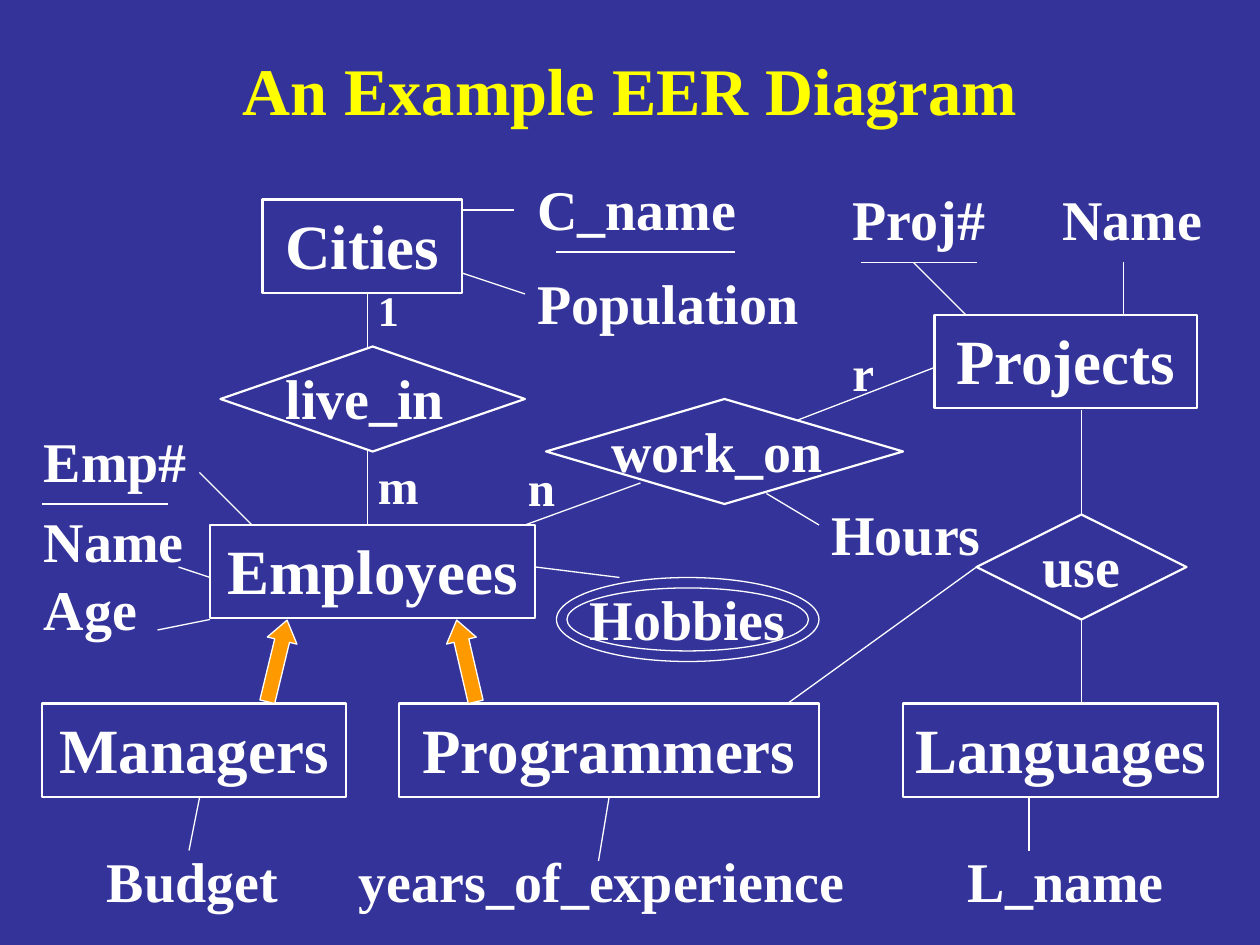
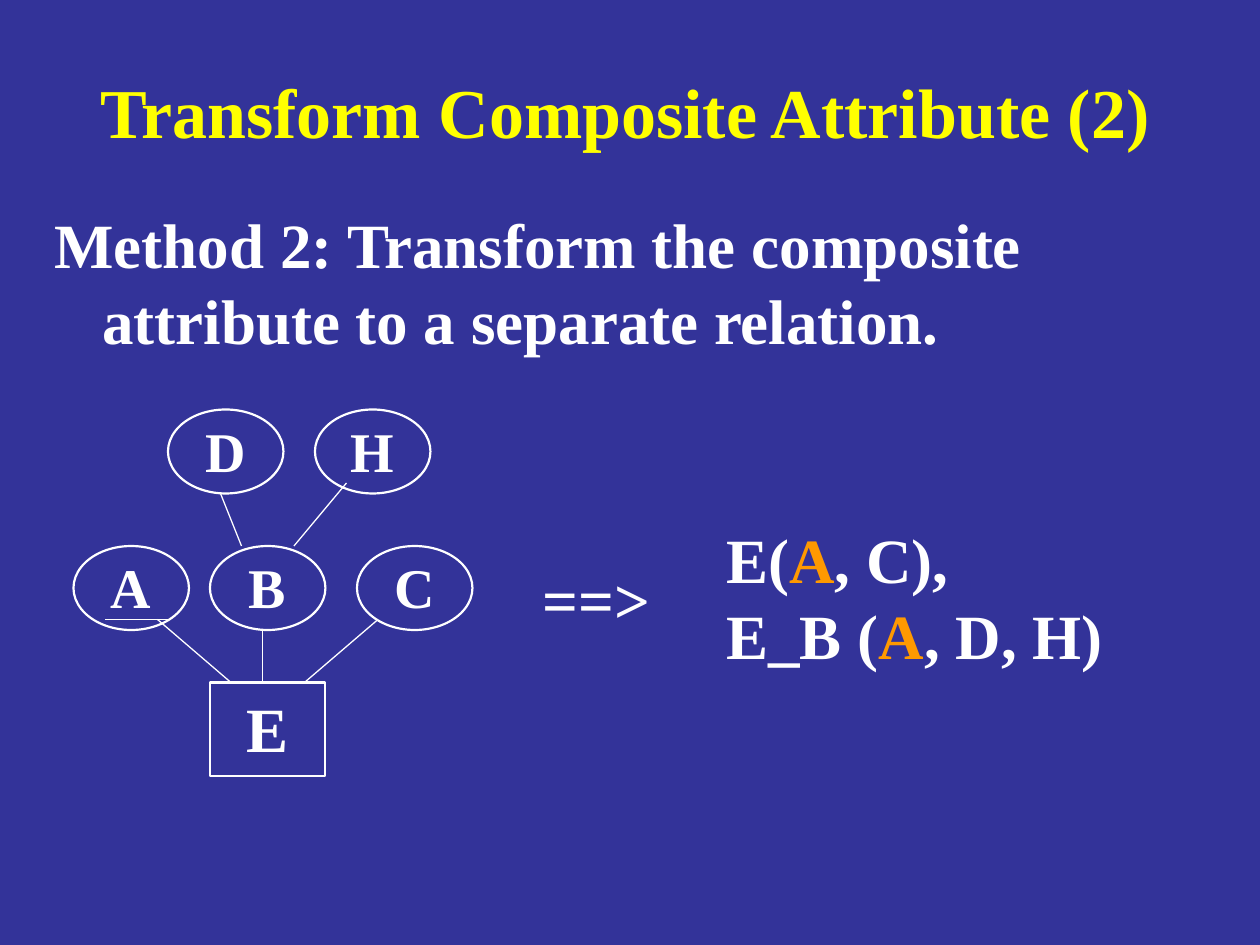
from dataclasses import dataclass

from lxml import etree
from pptx import Presentation
from pptx.dml.color import RGBColor
from pptx.enum.shapes import MSO_CONNECTOR, MSO_SHAPE
from pptx.enum.text import MSO_ANCHOR, PP_ALIGN
from pptx.oxml.ns import qn
from pptx.util import Inches, Pt

STRAIGHT = MSO_CONNECTOR.STRAIGHT
RECTANGLE, DIAMOND = MSO_SHAPE.RECTANGLE, MSO_SHAPE.DIAMOND
OVAL, ARROW = MSO_SHAPE.OVAL, MSO_SHAPE.RIGHT_ARROW
LEFT, CENTER = PP_ALIGN.LEFT, PP_ALIGN.CENTER
TOP, MIDDLE = MSO_ANCHOR.TOP, MSO_ANCHOR.MIDDLE


@dataclass(frozen=True)
class Theme:
    font: str = "Times New Roman"
    ground: RGBColor = RGBColor(0x33, 0x33, 0x99)
    title: RGBColor = RGBColor(0xFF, 0xFF, 0x00)
    ink: RGBColor = RGBColor(0xFF, 0xFF, 0xFF)
    accent: RGBColor = RGBColor(0xFF, 0x99, 0x00)
    entity_size: int = 36
    attribute_size: int = 32
    role_size: int = 28
    outline: float = 1.25
    hairline: float = 0.75


THEME = Theme()

# The slide is a grid of 120 columns by 90 rows
COLUMNS, ROWS = 120, 90
WIDTH, HEIGHT = Inches(10), Inches(7.5)
ENTITY_ROWS, RELATION_ROWS = 8.9, 10
OVAL_COLUMNS, OVAL_ROWS = 11, 8


def grid(column, row):
    return round(WIDTH * column / COLUMNS), round(HEIGHT * row / ROWS)


def new_slide(prs):
    slide = prs.slides.add_slide(prs.slide_layouts[6])
    slide.background.fill.solid()
    slide.background.fill.fore_color.rgb = THEME.ground
    return slide


# Text
def add_run(paragraph, text, size, color=THEME.ink):
    run = paragraph.add_run()
    run.text = text
    run.font.name = THEME.font
    run.font.size = Pt(size)
    run.font.bold = True
    run.font.color.rgb = color


def text_box(slide, column, row, columns, rows, lines, size,
             color=THEME.ink, align=LEFT, anchor=TOP):
    """Each line is a list of (text, color) runs or a plain string."""
    box = slide.shapes.add_textbox(*grid(column, row), *grid(columns, rows))
    frame = box.text_frame
    frame.word_wrap = True
    frame.vertical_anchor = anchor
    for index, line in enumerate(lines):
        paragraph = frame.add_paragraph() if index else frame.paragraphs[0]
        paragraph.alignment = align
        runs = [(line, color)] if isinstance(line, str) else line
        for text, run_color in runs:
            add_run(paragraph, text, size, run_color)
    return frame.paragraphs


def title(slide, text, column, row, columns, size):
    text_box(slide, column, row, columns, 11, [text], size,
             THEME.title, CENTER, MIDDLE)


def attribute(slide, text, column, row, columns, size=THEME.attribute_size):
    text_box(slide, column, row, columns, 7.7, [text], size)


# Diagram parts
def outlined(slide, kind, column, row, columns, rows, weight=THEME.outline):
    shape = slide.shapes.add_shape(kind, *grid(column, row),
                                   *grid(columns, rows))
    shape.shadow.inherit = False
    shape.fill.background()
    shape.line.color.rgb = THEME.ink
    shape.line.width = Pt(weight)
    return shape


def caption(shape, text, size, right=0):
    frame = shape.text_frame
    frame.word_wrap = False
    frame.vertical_anchor = MIDDLE
    frame.margin_left = frame.margin_top = 0
    frame.margin_right, frame.margin_bottom = Inches(right), Inches(0.03)
    frame.paragraphs[0].alignment = CENTER
    add_run(frame.paragraphs[0], text, size)


def entity(slide, text, column, row, columns):
    box = outlined(slide, RECTANGLE, column, row, columns, ENTITY_ROWS)
    caption(box, text, THEME.entity_size)


def relationship(slide, text, column, row, columns, right=0.0):
    diamond = outlined(slide, DIAMOND, column, row, columns, RELATION_ROWS)
    caption(diamond, text, THEME.attribute_size, right)


def attribute_oval(slide, text, column, row):
    oval = outlined(slide, OVAL, column, row, OVAL_COLUMNS, OVAL_ROWS)
    caption(oval, text, THEME.attribute_size)


def multivalued(slide, text, column, row, columns, rows):
    outer = outlined(slide, OVAL, column, row, columns, rows, THEME.hairline)
    outlined(slide, OVAL, column + 1, row + 1, columns - 2, rows - 2,
             THEME.hairline)
    caption(outer, text, THEME.attribute_size)


def subclass_arrow(slide, column, row, angle):
    arrow = outlined(slide, ARROW, column, row, 8, 2.9, THEME.hairline)
    arrow.fill.solid()
    arrow.fill.fore_color.rgb = THEME.accent
    arrow.adjustments[0], arrow.adjustments[1] = 0.5, 0.69
    arrow.rotation = angle


def links(slide, ends):
    for x1, y1, x2, y2 in ends:
        link = slide.shapes.add_connector(STRAIGHT, *grid(x1, y1),
                                          *grid(x2, y2))
        link.line.color.rgb = THEME.ink
        link.line.width = Pt(THEME.hairline)
        etree.SubElement(link._element.spPr, qn("a:effectLst"))


# Slides
def eer_diagram(prs):
    slide = new_slide(prs)
    title(slide, "An Example EER Diagram", 4, 3, 112, 38)

    for name, column, row, columns in [
        ("Cities", 25, 19, 19),
        ("Employees", 20, 50, 31),
        ("Projects", 89, 30, 25),
        ("Managers", 4, 67, 29),
        ("Programmers", 38, 67, 40),
        ("Languages", 86, 67, 30),
    ]:
        entity(slide, name, column, row, columns)

    relationship(slide, "live_in", 21, 33, 29, 0.12)
    relationship(slide, "work_on", 52, 38, 34, 0.12)
    relationship(slide, "use", 93, 49, 20)
    multivalued(slide, "Hobbies", 53, 55, 25, 8)

    for name, column, row, columns in [
        ("C_name", 50, 16, 23),
        ("Population", 50, 25, 29),
        ("Proj#", 80, 17, 17),
        ("Name", 100, 17, 17),
        ("Hours", 78, 47, 18),
        ("Budget", 9, 80, 20),
        ("years_of_experience", 33, 80, 50),
        ("L_name", 91, 80, 23),
    ]:
        attribute(slide, name, column, row, columns)

    employee_attributes = text_box(slide, 3, 40, 18, 21.7,
                                   ["Emp#", "Name", "Age"],
                                   THEME.attribute_size)
    employee_attributes[1].line_spacing = 1.2

    # Cardinalities
    attribute(slide, "1", 34.8, 26.5, 5, 24)
    for role, column, row in [("m", 34.8, 42.8), ("n", 49.1, 43),
                              ("r", 80, 32)]:
        attribute(slide, role, column, row, 7, THEME.role_size)

    key_underlines = [(53, 24, 70, 24), (4, 48, 16, 48), (82, 25, 93, 25)]
    attribute_links = [
        (44, 20, 49, 20), (50, 28, 44, 26),
        (19, 45, 24, 50), (17, 54, 20, 55), (15, 60, 20, 59),
        (51, 54, 59, 55), (73, 47, 78, 50),
        (92, 30, 87, 25), (107, 25, 107, 30),
        (18, 81, 19, 76), (57, 82, 58, 76), (98, 76, 98, 81),
    ]
    relationship_links = [
        (35, 33, 35, 28), (35, 43, 35, 50),
        (50, 50, 61, 46), (76, 40, 89, 35),
        (103, 49, 103, 39), (103, 59, 103, 67), (75, 67, 93, 54),
    ]
    links(slide, key_underlines + attribute_links + relationship_links)

    subclass_arrow(slide, 22.4, 61.5, 283.6)
    subclass_arrow(slide, 40.4, 61.5, 256.9)


def composite_attribute(prs):
    slide = new_slide(prs)
    title(slide, "Transform Composite Attribute (2)", 7, 5, 105, 40)

    method = text_box(slide, 4, 19, 112, 16,
                      ["Method 2: Transform the composite attribute"
                       " to a separate relation."], THEME.entity_size)
    hanging = method[0]._p.get_or_add_pPr()
    hanging.set("marL", str(Inches(0.38)))
    hanging.set("indent", str(-Inches(0.38)))

    # Entity with its attributes
    entity(slide, "E", 20, 65, 11)
    for name, column, row in [("D", 16, 39), ("H", 30, 39),
                              ("A", 7, 52), ("B", 20, 52), ("C", 34, 52)]:
        attribute_oval(slide, name, column, row)
    links(slide, [
        (10, 59, 16, 59),
        (15, 59, 22, 65), (25, 60, 25, 65), (36, 59, 29, 65),
        (21, 47, 23, 52), (33, 46, 28, 52),
    ])

    # Resulting relations
    text_box(slide, 50.5, 52.8, 14, 8.4, ["==>"], THEME.entity_size)
    key = ("A", THEME.accent)
    text_box(slide, 68, 49, 40, 15.6, [
        [("E(", THEME.ink), key, (", C),", THEME.ink)],
        [("E_B (", THEME.ink), key, (", D, H)", THEME.ink)],
    ], THEME.entity_size)


def main():
    prs = Presentation()
    prs.slide_width, prs.slide_height = WIDTH, HEIGHT
    eer_diagram(prs)
    composite_attribute(prs)
    prs.save("out.pptx")


if __name__ == "__main__":
    main()
